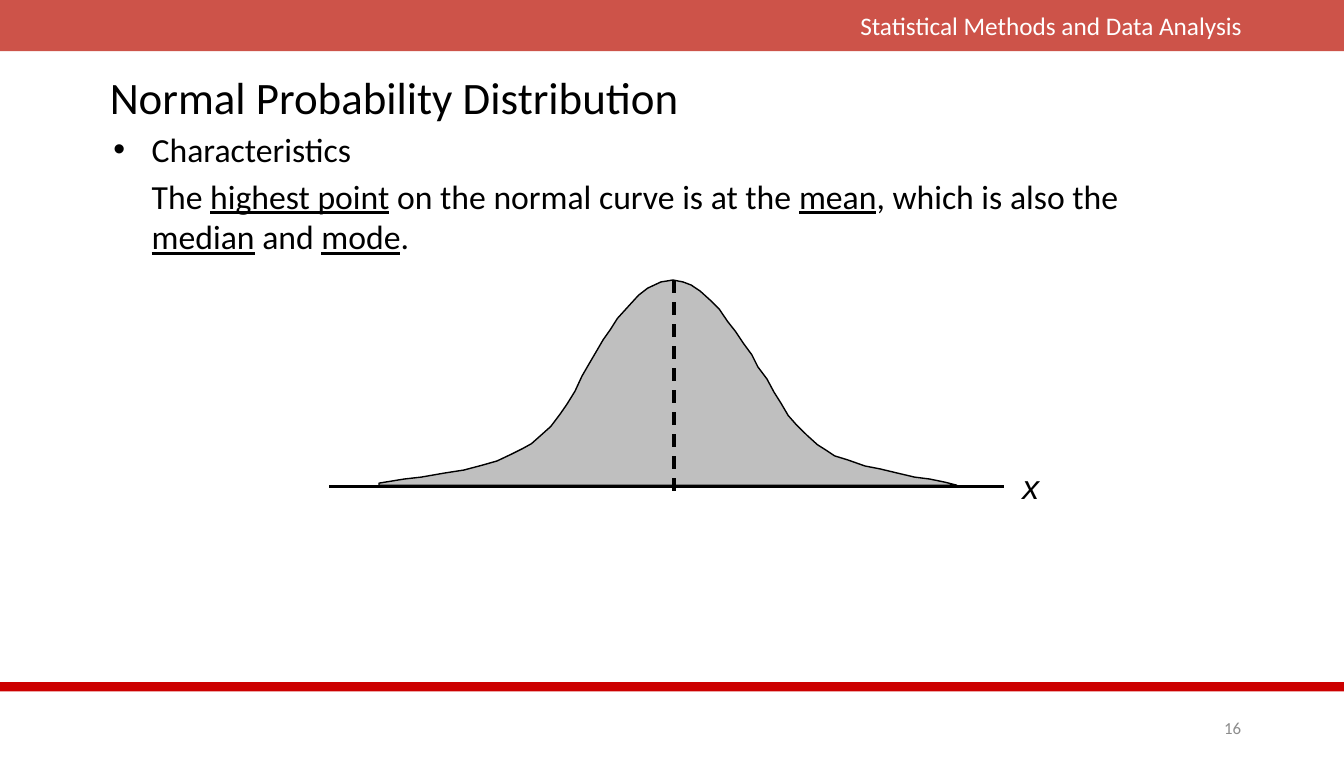
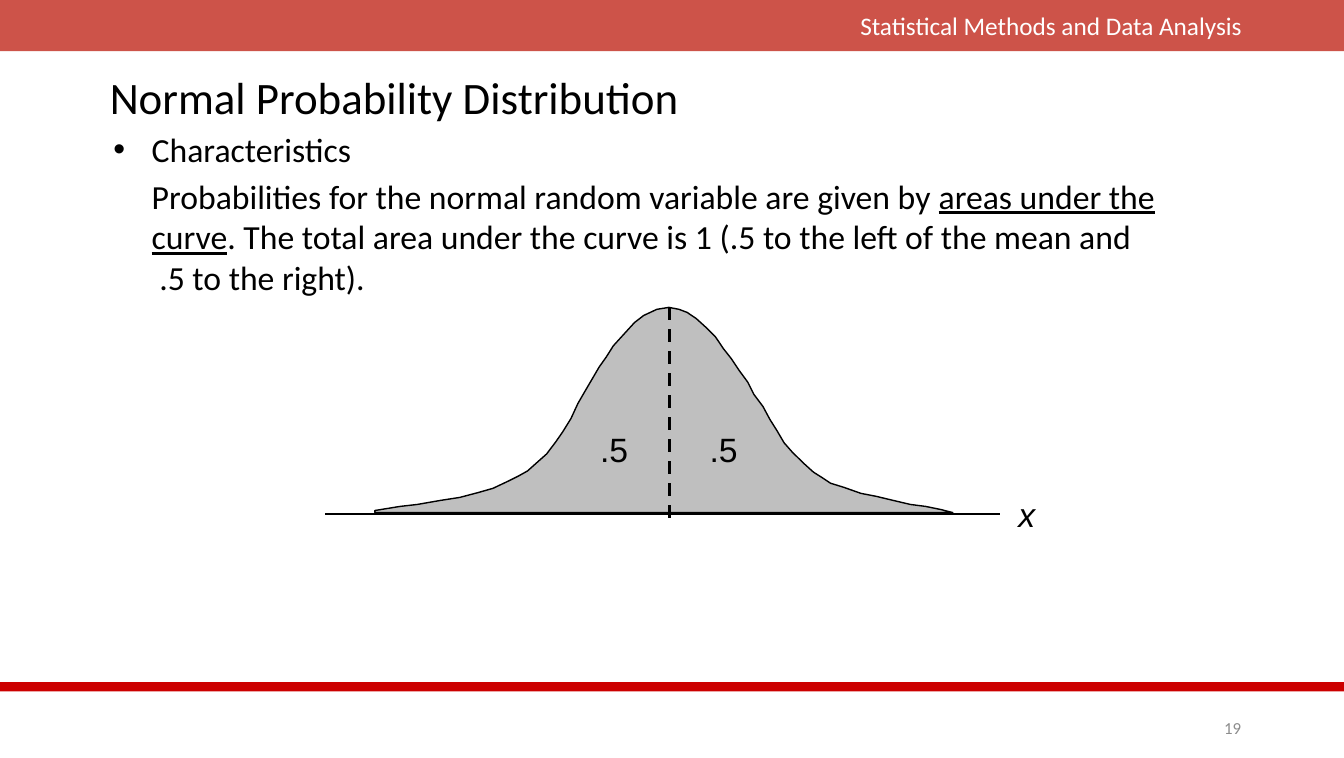
from lxml import etree
from pptx import Presentation
from pptx.dml.color import RGBColor as Rgb
from pptx.enum.dml import MSO_LINE as Dash
from pptx.enum.shapes import MSO_CONNECTOR as Link, MSO_SHAPE as Form
from pptx.enum.text import MSO_ANCHOR as Anchor, MSO_AUTO_SIZE as Auto, PP_ALIGN as Align
from pptx.oxml.ns import qn
from pptx.util import Pt

HUES = {
    "band": "BF2317",
    "rule": "CC0000",
    "area": "BFBFBF",
    "ink": "000000",
    "pale": "FFFFFF",
    "page": "8C8C8C",
}
WIDE, HIGH = 957.6, 540
INDENT = 27.4

# Bell outline in points, measured from its peak
BELL = [
    (0, 0), (-8.6, 1.4), (-18, 5.8), (-24.5, 10.8), (-31.7, 18.7),
    (-39.6, 27.4), (-44.6, 35.3), (-49.7, 42.5), (-54.7, 51.1),
    (-59.8, 59.8), (-64.8, 68.4), (-69.8, 79.2), (-75.6, 88.6),
    (-80.6, 95.8), (-87.1, 104.4), (-93.6, 110.2), (-100.8, 116.6),
    (-107.3, 120.2), (-114.5, 123.8), (-125.3, 128.9), (-135.4, 131.8),
    (-149, 135.4), (-162.7, 137.5), (-179.3, 140.4), (-191.5, 141.8),
    (-209.5, 144.7), (-209.5, 146.2), (202.3, 146.2), (193.7, 144),
    (182.9, 141.8), (172.1, 140.4), (159.8, 137.5), (147.6, 134.6),
    (136.8, 132.5), (124.6, 128.2), (115.2, 125.3), (108.7, 121),
    (103, 117.4), (95.8, 110.9), (87.8, 103), (82.1, 96.5), (77, 87.8),
    (72, 79.9), (67, 70.6), (60.5, 61.9), (56.2, 53.3), (50.4, 45.4),
    (44.6, 36.7), (38.9, 29.5), (33.1, 20.9), (26.6, 14.4), (19.4, 7.9),
    (13, 3.6), (7.2, 1.4),
]


def hue(name):
    return Rgb.from_string(HUES[name])


class Deck:
    def __init__(self):
        self.file = Presentation()
        self.file.slide_width, self.file.slide_height = Pt(WIDE), Pt(HIGH)
        self.slide = None

    def style(self, run, size, color="ink", font="Calibri"):
        run.font.name, run.font.size = font, Pt(size)
        run.font.color.rgb = hue(color)

    def place(self, shape, left, top, width, height):
        shape.left, shape.top = Pt(left), Pt(top)
        shape.width, shape.height = Pt(width), Pt(height)

    def block(self, left, top, width, height, color, alpha=None):
        shape = self.slide.shapes.add_shape(
            Form.RECTANGLE, Pt(left), Pt(top), Pt(width), Pt(height))
        shape.shadow.inherit = False
        shape.fill.solid()
        shape.fill.fore_color.rgb = hue(color)
        shape.line.fill.background()
        if alpha:
            tint = shape.fill._xPr.find(".//" + qn("a:srgbClr"))
            etree.SubElement(tint, qn("a:alpha")).set("val", str(alpha * 1000))

    def text(self, words, left, top, width, height, size, color="ink",
             align=Align.RIGHT, font="Calibri", wrap=True, italic=False):
        box = self.slide.shapes.add_textbox(
            Pt(left), Pt(top), Pt(width), Pt(height))
        frame = box.text_frame
        frame.text, frame.word_wrap = words, wrap
        para = frame.paragraphs[0]
        para.alignment = align
        self.style(para.runs[0], size, color, font)
        para.runs[0].font.italic = italic

    def line(self, start, end, width, dash=None):
        line = self.slide.shapes.add_connector(
            Link.STRAIGHT, *map(Pt, start + end))
        line.line.color.rgb, line.line.width = hue("ink"), Pt(width)
        if dash:
            line.line.dash_style = dash
        etree.SubElement(line._element.spPr, qn("a:effectLst"))

    def page(self, number):
        self.slide = self.file.slides.add_slide(self.file.slide_layouts[1])
        self.block(0, 0, WIDE, 36.5, "band", 78)
        self.text("Statistical Methods and Data Analysis",
                  480, 3.6, 412, 29, 18, "pale")
        self.block(0, 486, WIDE, 6.5, "rule")
        self.text(str(number), 842.4, 507.6, 49, 22, 12, "page")

    def title(self, words):
        title = self.slide.shapes.title
        self.place(title, 71, 50, 814, 45)
        frame = title.text_frame
        frame.text, frame.vertical_anchor = words, Anchor.TOP
        frame.auto_size = Auto.NONE
        para = frame.paragraphs[0]
        para.alignment, para.line_spacing = Align.LEFT, 0.9
        self.style(para.runs[0], 32)

    def body(self, head, *items):
        """Bulleted head, then plain (indent, text) items; _marks_ underline."""
        body = self.slide.placeholders[1]
        self.place(body, 73.5, 88, 779, 130)
        frame = body.text_frame
        frame.auto_size, frame.vertical_anchor = Auto.NONE, Anchor.TOP
        for row, (left, words) in enumerate([(INDENT, head), *items]):
            para = frame.add_paragraph() if row else frame.paragraphs[0]
            props = para._p.get_or_add_pPr()
            props.set("marL", str(Pt(left)))
            props.set("indent", str(0 if row else -Pt(INDENT)))
            mark = etree.SubElement(props, qn("a:buNone" if row else "a:buChar"))
            if not row:
                mark.set("char", "•")
            para.space_before = Pt(4.8 if row == 1 else 0)
            for part, piece in enumerate(words.split("_")):
                run = para.add_run()
                run.text = piece
                self.style(run, 24)
                run.font.underline = part % 2 == 1

    def label(self, words, mid, top, italic=False):
        self.text(words, mid - 20, top, 40, 36, 24, align=Align.CENTER,
                  font="Arial", wrap=False, italic=italic)

    def bell(self, mid, top, weight, share=None):
        spots = [(Pt(mid + x), Pt(top + y)) for x, y in BELL]
        pen = self.slide.shapes.build_freeform(*spots[0])
        pen.add_line_segments(spots[1:], close=True)
        curve = pen.convert_to_shape()
        curve.shadow.inherit = False
        curve.fill.solid()
        curve.fill.fore_color.rgb = hue("area")
        curve.line.color.rgb, curve.line.width = hue("ink"), Pt(1)
        # Mean, axis and labels
        self.line((mid + 0.7, top), (mid + 0.7, top + 153), 2.25, Dash.DASH)
        self.line((mid - 245, top + 147), (mid + 236, top + 147), weight)
        self.label("x", mid + 255, top + 129, italic=True)
        if share:
            for side in (-39, 39):
                self.label(share, mid + side, top + 83)


def main():
    deck = Deck()
    name, head = "Normal Probability Distribution", "Characteristics"

    # Highest point
    deck.page(16)
    deck.title(name)
    deck.body(head, (INDENT, "The _highest point_ on the normal curve is at the "
                     "_mean_, which is also the _median_ and _mode_."))
    deck.bell(479.5, 199.5, 2.25)

    # Area under the curve
    deck.page(19)
    deck.title(name)
    deck.body(head,
              (INDENT, "Probabilities for the normal random variable are given "
               "by _areas under the curve_. The total area under the curve is "
               "1 (.5 to the left of the mean and"),
              (INDENT + 5.4, ".5 to the right)."))
    deck.bell(476.6, 219, 1.5, ".5")

    deck.file.save("out.pptx")


if __name__ == "__main__":
    main()
